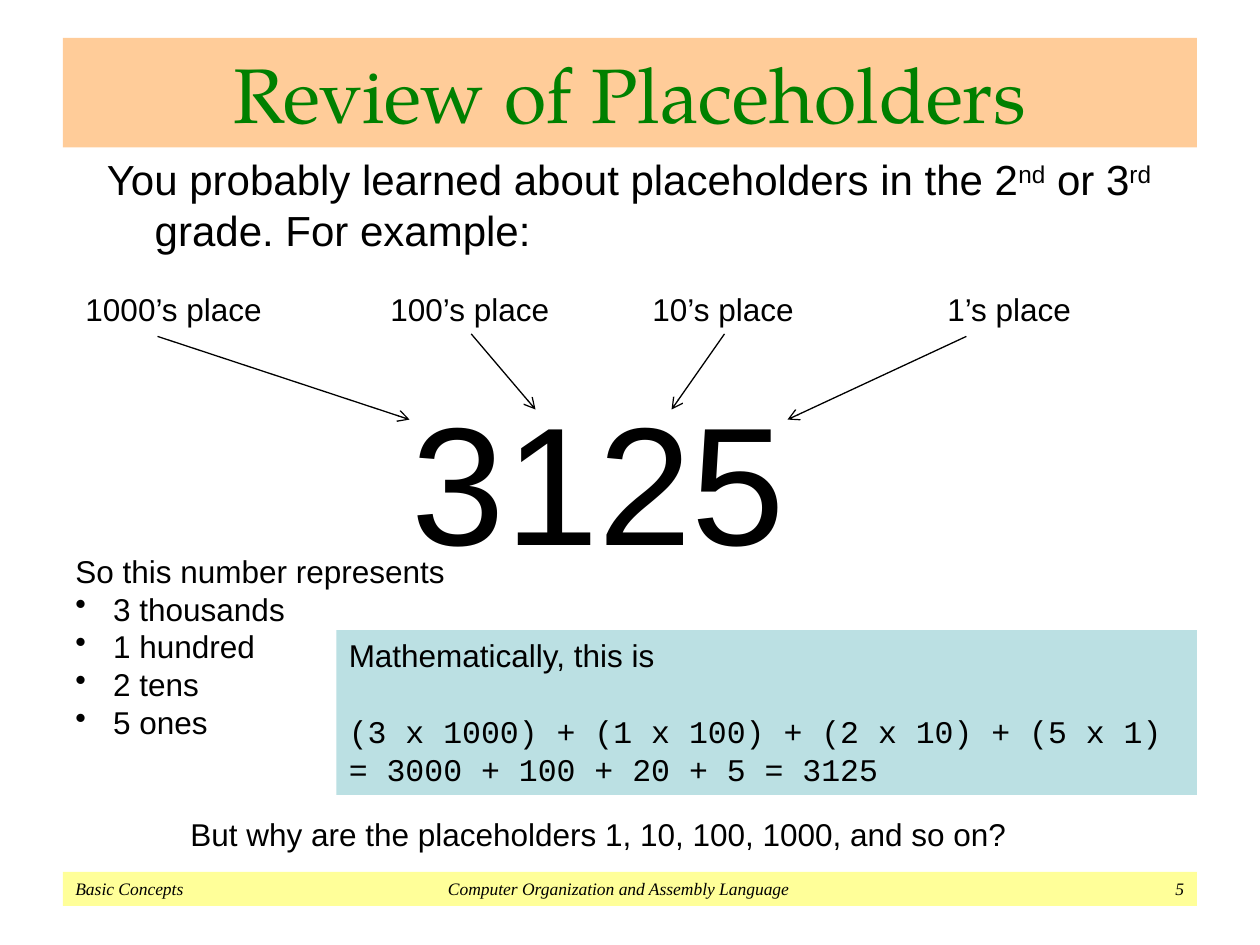
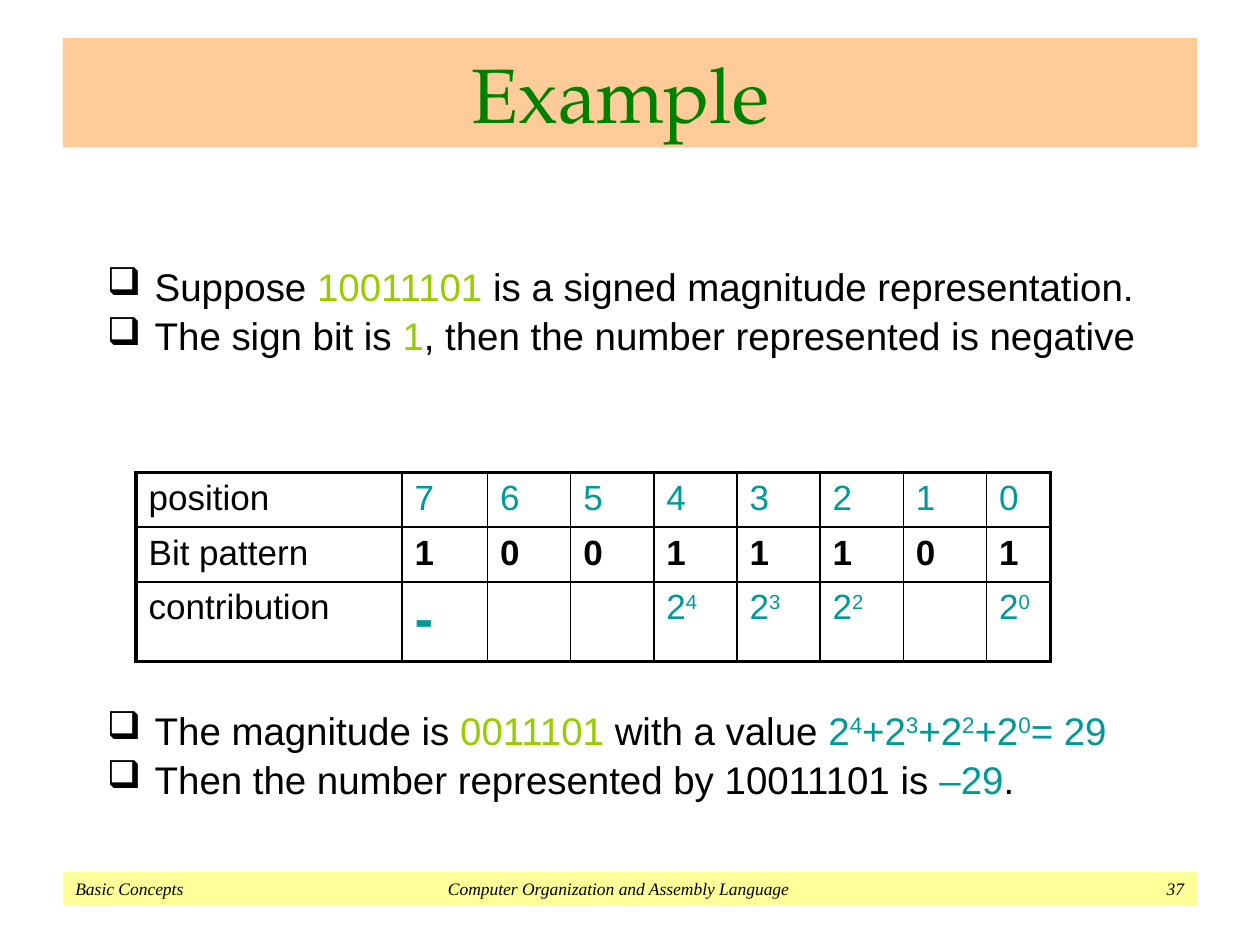
from dataclasses import dataclass
from typing import NamedTuple

from lxml.etree import SubElement
from pptx import Presentation
from pptx.dml.color import RGBColor
from pptx.enum.shapes import MSO_CONNECTOR, MSO_SHAPE
from pptx.enum.text import MSO_ANCHOR, PP_ALIGN
from pptx.oxml.ns import qn
from pptx.util import Inches, Pt


@dataclass(frozen=True)
class Theme:
    ink: str = "000000"
    title: str = "008000"
    title_band: str = "FFCC99"
    footer_band: str = "FFFF99"
    formula_panel: str = "BBE0E3"
    lime: str = "99CC00"
    teal: str = "009999"
    body_font: str = "Arial"
    title_font: str = "TeX Gyre Pagella"
    footer_font: str = "Times New Roman"
    code_font: str = "Courier New"
    title_size: int = 44
    lead_size: int = 24
    bullet_size: int = 22
    cell_size: int = 20
    note_size: int = 18
    footer_size: int = 10
    number_size: int = 96
    minus_size: int = 32
    thin: float = 1
    thick: float = 2.25
    arrow: float = 0.75


THEME = Theme()


class Piece(NamedTuple):
    text: str
    color: str | None = None
    raised: bool = False


def power(exponent, base="2"):
    return [Piece(base, THEME.teal), Piece(str(exponent), THEME.teal, True)]


def write(frame, content, size=THEME.note_size, font=THEME.body_font,
          color=THEME.ink, bold=False, italic=False, align=None, before=0,
          spacing=None, hang=0, bullet=None, tabs=()):
    first = frame.paragraphs[0]
    paragraph = frame.add_paragraph() if first.runs else first
    if align is not None:
        paragraph.alignment = align
    if before:
        paragraph.space_before = Pt(before)
    if spacing:
        paragraph.line_spacing = spacing
    properties = paragraph._p.get_or_add_pPr()
    if hang:
        properties.set("marL", str(Inches(hang)))
        properties.set("indent", str(-Inches(hang)))
    if bullet:
        SubElement(properties, qn("a:buChar"), char=bullet)
    if tabs:
        stops = SubElement(properties, qn("a:tabLst"))
        for position, kind in tabs:
            SubElement(stops, qn("a:tab"), pos=str(Inches(position)), algn=kind)
    pieces = [content] if isinstance(content, str) else content
    for piece in pieces:
        text, tint, raised = Piece(piece) if isinstance(piece, str) else piece
        run = paragraph.add_run()
        run.text = text
        run.font.name, run.font.size = font, Pt(size)
        run.font.bold, run.font.italic = bold, italic
        run.font.color.rgb = RGBColor.from_string(tint or color)
        if raised:
            run.font._element.set("baseline", "30000")


def add_band(slide, left, top, width, height, fill, anchor=MSO_ANCHOR.TOP):
    band = slide.shapes.add_shape(MSO_SHAPE.RECTANGLE, Inches(left), Inches(top),
                                  Inches(width), Inches(height))
    band.shadow.inherit = False
    band.fill.solid()
    band.fill.fore_color.rgb = RGBColor.from_string(fill)
    band.line.fill.background()
    band.text_frame.word_wrap = True
    band.text_frame.vertical_anchor = anchor
    band.text_frame.paragraphs[0].alignment = PP_ALIGN.LEFT
    return band.text_frame


def add_text_area(slide, left, top, width, height, wrap=True):
    area = slide.shapes.add_textbox(Inches(left), Inches(top),
                                    Inches(width), Inches(height))
    area.text_frame.word_wrap = wrap
    return area.text_frame


def add_arrow(slide, start, end):
    arrow = slide.shapes.add_connector(
        MSO_CONNECTOR.STRAIGHT, *(Inches(value) for value in (*start, *end)))
    arrow.line.color.rgb = RGBColor.from_string(THEME.ink)
    arrow.line.width = Pt(THEME.arrow)
    SubElement(arrow.line._get_or_add_ln(), qn("a:tailEnd"), type="arrow")
    SubElement(arrow._element.spPr, qn("a:effectLst"))


def add_bullets(slide, top, items):
    frame = add_text_area(slide, 0.75, top, 8.5, 0.95)
    for index, item in enumerate(items):
        write(frame, item, size=THEME.bullet_size, spacing=0.9, hang=0.38,
              bullet="❑", before=4.4 if index else 0)


def set_borders(cell, widths):
    properties = cell._tc.get_or_add_tcPr()
    for position, (side, width) in enumerate(widths.items()):
        line = properties.makeelement(qn(f"a:{side}"), {"w": str(Pt(width))})
        fill = SubElement(line, qn("a:solidFill"))
        SubElement(fill, qn("a:srgbClr"), val=THEME.ink)
        properties.insert(position, line)


def add_bit_table(slide, left, top, column_widths, row_heights, rows):
    last_row, last_column = len(row_heights) - 1, len(column_widths) - 1
    table = slide.shapes.add_table(
        len(row_heights), len(column_widths), Inches(left), Inches(top),
        Inches(sum(column_widths)), Inches(sum(row_heights))).table
    table.first_row = table.horz_banding = False
    for column, width in zip(table.columns, column_widths):
        column.width = Inches(width)
    for row, height in zip(table.rows, row_heights):
        row.height = Inches(height)
    for r, (label, values, style) in enumerate(rows):
        for c, content in enumerate([label, *values]):
            cell = table.cell(r, c)
            cell.fill.background()
            if content:
                cell_style = style if c else {}
                if content == "-":
                    cell_style = style | {"size": THEME.minus_size, "bold": True}
                write(cell.text_frame, content,
                      **({"size": THEME.cell_size} | cell_style))
            outer = {"lnL": c == 0, "lnR": c == last_column,
                     "lnT": r == 0, "lnB": r == last_row}
            set_borders(cell, {side: THEME.thick if edge else THEME.thin
                               for side, edge in outer.items()})


def add_course_slide(deck, title, number):
    slide = deck.slides.add_slide(deck.slide_layouts[6])
    footer = add_band(slide, 0.5, 6.92, 9, 0.27, THEME.footer_band)
    write(footer, f"Basic Concepts\tComputer Organization and Assembly Language\t{number}",
          size=THEME.footer_size, font=THEME.footer_font, italic=True,
          tabs=((4.31, "ctr"), (8.8, "r")))
    heading = add_band(slide, 0.5, 0.3, 9, 0.87, THEME.title_band, MSO_ANCHOR.MIDDLE)
    write(heading, title, size=THEME.title_size, font=THEME.title_font,
          color=THEME.title, align=PP_ALIGN.CENTER)
    return slide


def add_placeholder_review(deck):
    slide = add_course_slide(deck, "Review of Placeholders", 5)
    lead = add_text_area(slide, 0.75, 1.17, 8.5, 1.25)
    write(lead, ["You probably learned about placeholders in the 2",
                 Piece("nd", raised=True), " or 3", Piece("rd", raised=True),
                 " grade. For example:"], size=THEME.lead_size, hang=0.38)

    number = add_text_area(slide, 0, 2.95, 9.5, 1.72)
    write(number, "3125", size=THEME.number_size, align=PP_ALIGN.CENTER)

    places = [
        ("1000’s place", 0.58, 1.61, (1.25, 2.67), (3.25, 3.33)),
        ("100’s place", 3, 1.47, (3.74, 2.65), (4.25, 3.25)),
        ("10’s place", 5.08, 1.33, (5.75, 2.65), (5.33, 3.25)),
        ("1’s place", 7.42, 1.19, (7.67, 2.67), (6.25, 3.33)),
    ]
    for label, left, width, start, digit in places:
        write(add_text_area(slide, left, 2.25, width, 0.4, wrap=False), label)
        add_arrow(slide, start, digit)

    breakdown = add_text_area(slide, 0.5, 4.33, 3.42, 1.62)
    write(breakdown, "So this number represents")
    for count in ("3 thousands", "1 hundred", "2 tens", "5 ones"):
        write(breakdown, count, bullet="•", hang=0.3)

    formula = add_band(slide, 2.67, 5, 6.83, 1.31, THEME.formula_panel)
    write(formula, "Mathematically, this is")
    write(formula, "(3 x 1000) + (1 x 100) + (2 x 10) + (5 x 1)",
          font=THEME.code_font, before=21.6)
    write(formula, "= 3000 + 100 + 20 + 5 = 3125", font=THEME.code_font)

    question = add_text_area(slide, 0, 6.42, 9.5, 0.4)
    write(question, "But why are the placeholders 1, 10, 100, 1000, and so on?",
          align=PP_ALIGN.CENTER)


def add_signed_example(deck):
    slide = add_course_slide(deck, "Example ", 37)
    add_bullets(slide, 2.08, [
        ["Suppose ", Piece("10011101", THEME.lime),
         " is a signed magnitude representation."],
        ["The sign bit is ", Piece("1", THEME.lime),
         ", then the number represented is negative"],
    ])

    bits = "10011101"
    positions = range(len(bits) - 1, -1, -1)
    contributions = [power(position) if bit == "1" else None
                     for position, bit in zip(positions, bits)]
    contributions[0] = "-"
    teal = {"color": THEME.teal}
    add_bit_table(slide, 1.08, 3.75, [2.11, 0.68] + [0.66] * 6 + [0.51],
                  [0.41, 0.41, 0.6],
                  [("position", [str(position) for position in positions], teal),
                   ("Bit pattern", bits, {"bold": True}),
                   ("contribution", contributions, teal)])

    plus = Piece("+", THEME.teal)
    total = [*power(4), plus, *power(3), plus, *power(2), plus, *power(0),
             Piece("= 29", THEME.teal)]
    add_bullets(slide, 5.6, [
        ["The magnitude is ", Piece("0011101", THEME.lime), " with a value ", *total],
        ["Then the number represented by 10011101 is ",
         Piece("–29", THEME.teal), "."],
    ])


def main():
    deck = Presentation()
    deck.slide_width, deck.slide_height = Inches(10), Inches(7.5)
    add_placeholder_review(deck)
    add_signed_example(deck)
    deck.save("out.pptx")


if __name__ == "__main__":
    main()
